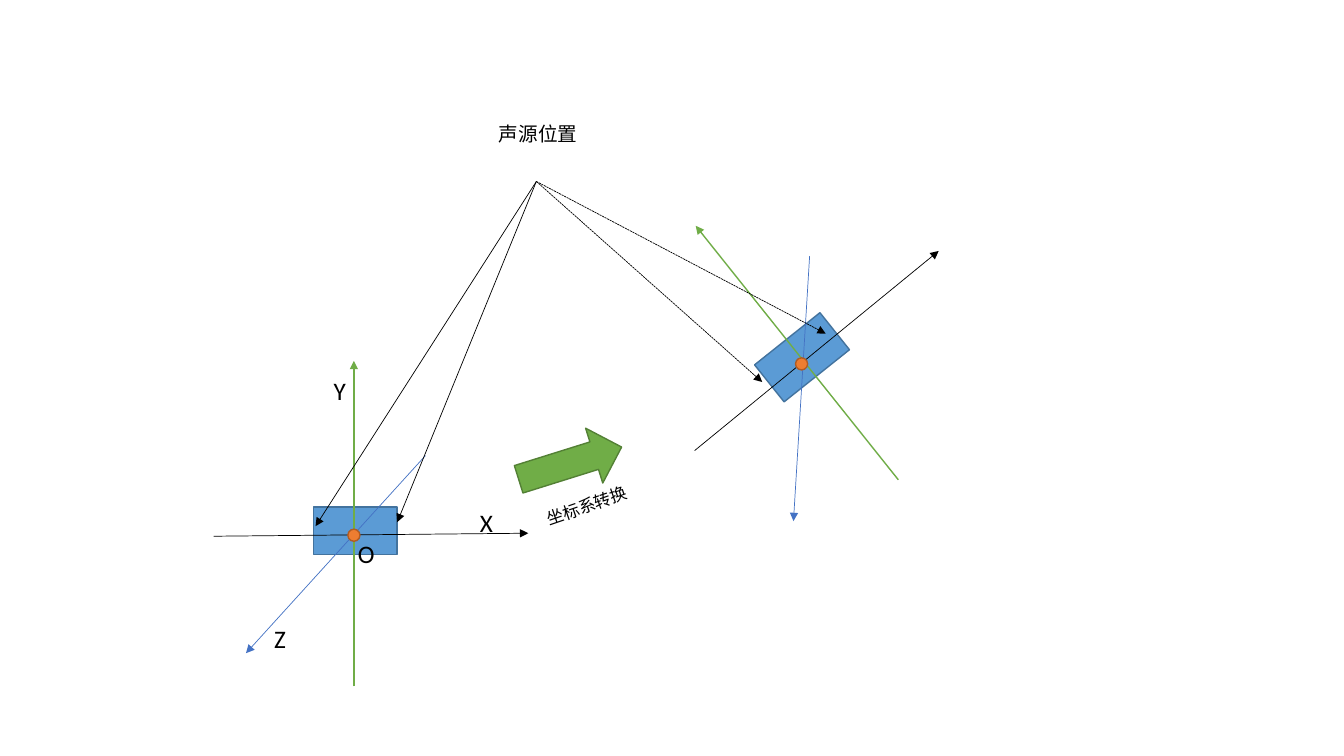
from dataclasses import dataclass

from lxml import etree
from pptx import Presentation
from pptx.dml.color import RGBColor
from pptx.enum.dml import MSO_LINE
from pptx.enum.shapes import MSO_CONNECTOR, MSO_SHAPE
from pptx.enum.text import MSO_AUTO_SIZE
from pptx.oxml.ns import qn
from pptx.util import Inches, Pt

STRAIGHT = MSO_CONNECTOR.STRAIGHT
RECTANGLE = MSO_SHAPE.RECTANGLE
OVAL = MSO_SHAPE.OVAL
RIGHT_ARROW = MSO_SHAPE.RIGHT_ARROW
SHORT_DASH = MSO_LINE.SQUARE_DOT
FIT_SHAPE = MSO_AUTO_SIZE.SHAPE_TO_FIT_TEXT
BLANK_LAYOUT = 6


@dataclass(frozen=True)
class Theme:
    black: str = "000000"
    device: str = "5B9BD5"
    device_edge: str = "43739E"
    green: str = "70AD47"
    green_edge: str = "538035"
    blue: str = "4472C4"
    origin: str = "ED7D31"
    origin_edge: str = "AF5C24"
    latin_font: str = "Calibri"
    chinese_font: str = "Noto Sans CJK SC"
    axis_size: int = 18
    source_size: int = 14
    transform_size: int = 12
    thin: float = 0.5
    medium: float = 1


THEME = Theme()


def add_filled_shape(shapes, kind, box, fill, edge, rotation=0):
    shape = shapes.add_shape(kind, *map(Inches, box))
    shape.rotation = rotation
    shape.shadow.inherit = False
    shape.fill.solid()
    shape.fill.fore_color.rgb = RGBColor.from_string(fill)
    shape.line.color.rgb = RGBColor.from_string(edge)
    shape.line.width = Pt(THEME.medium)


def add_arrow(shapes, start, end, color=THEME.black, width=THEME.thin, dash=None):
    connector = shapes.add_connector(STRAIGHT, *map(Inches, start + end))
    connector.line.color.rgb = RGBColor.from_string(color)
    connector.line.width = Pt(width)
    if dash is not None:
        connector.line.dash_style = dash
    line = connector.line._get_or_add_ln()
    etree.SubElement(line, qn("a:tailEnd"), type="triangle")
    etree.SubElement(connector._element.spPr, qn("a:effectLst"))


def add_label(slide, text, box, size, font=THEME.latin_font, rotation=0):
    shape = slide.shapes.add_textbox(*map(Inches, box))
    shape.rotation = rotation
    frame = shape.text_frame
    frame.word_wrap = True
    frame.auto_size = FIT_SHAPE
    run = frame.paragraphs[0].add_run()
    run.text = text
    run.font.size = Pt(size)
    run.font.name = font
    run.font.color.rgb = RGBColor.from_string(THEME.black)
    etree.SubElement(run._r.get_or_add_rPr(), qn("a:ea"), typeface=font)


def add_coordinate_system(slide, device_corner, rotation, x_axis, y_axis, z_axis):
    group = slide.shapes.add_group_shape()
    add_filled_shape(group.shapes, RECTANGLE, device_corner + (0.83, 0.47),
                     THEME.device, THEME.device_edge, rotation)
    add_arrow(group.shapes, *x_axis)
    add_arrow(group.shapes, *y_axis, THEME.green, THEME.medium)
    add_arrow(group.shapes, *z_axis, THEME.blue)


def main():
    presentation = Presentation()
    presentation.slide_width = Inches(13.33)
    presentation.slide_height = Inches(7.5)
    slide = presentation.slides.add_slide(presentation.slide_layouts[BLANK_LAYOUT])

    add_label(slide, "声源位置", (4.85, 1.16, 2.15, 0.34),
              THEME.source_size, THEME.chinese_font)

    add_coordinate_system(
        slide, (3.11, 5.03), 0,
        x_axis=((2.12, 5.32), (5.24, 5.29)),
        y_axis=((3.51, 6.81), (3.51, 3.58)),
        z_axis=((4.22, 4.52), (2.44, 6.48)))
    add_coordinate_system(
        slide, (7.54, 3.31), 321.4,
        x_axis=((6.89, 4.47), (9.31, 2.49)),
        y_axis=((8.91, 4.76), (6.9, 2.24)),
        z_axis=((8.03, 2.54), (7.87, 5.17)))

    source = (5.32, 1.8)
    sound_paths = [
        ((3.13, 5.22), None),
        ((3.94, 5.18), None),
        ((7.56, 3.79), SHORT_DASH),
        ((8.19, 3.31), SHORT_DASH),
    ]
    for microphone, dash in sound_paths:
        add_arrow(slide.shapes, source, microphone, dash=dash)

    add_filled_shape(slide.shapes, RIGHT_ARROW, (5.12, 4.31, 1.07, 0.57),
                     THEME.green, THEME.green_edge, 342.6)
    add_label(slide, "坐标系转换", (5.3, 4.83, 1.25, 0.3),
              THEME.transform_size, THEME.chinese_font, 341)

    axis_labels = [("X", 4.66, 4.98), ("Y", 3.21, 3.67),
                   ("Z", 2.62, 6.13), ("O", 3.45, 5.29)]
    for text, left, top in axis_labels:
        add_label(slide, text, (left, top, 0.41, 0.4), THEME.axis_size)

    for left, top in [(3.45, 5.25), (7.89, 3.55)]:
        add_filled_shape(slide.shapes, OVAL, (left, top, 0.12, 0.12),
                         THEME.origin, THEME.origin_edge)

    presentation.save("out.pptx")


if __name__ == "__main__":
    main()
